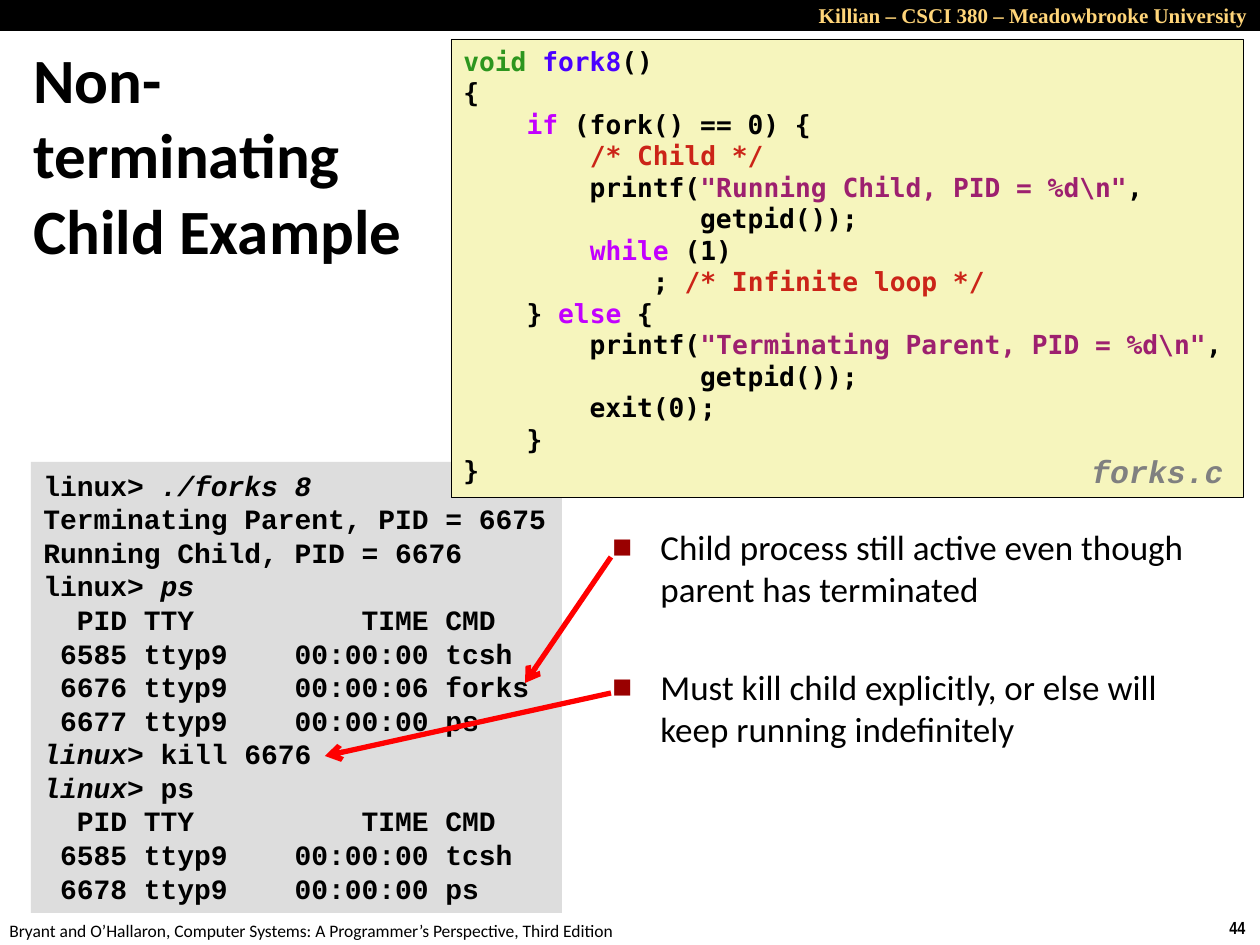
from lxml.etree import SubElement
from pptx import Presentation
from pptx.dml.color import RGBColor
from pptx.enum.shapes import MSO_CONNECTOR, MSO_SHAPE
from pptx.enum.text import MSO_ANCHOR, MSO_AUTO_SIZE, PP_ALIGN
from pptx.oxml.ns import qn
from pptx.util import Pt

PX = 914400 / 126
BLACK = "000000"
KEY, NOTE, TEXT = "C200FF", "CB2418", "9D206F"

CODE = [
    [("void ", "2D961E"), ("fork8", "4A00FF"), "()"],
    ["{"],
    ["    ", ("if", KEY), " (fork() == 0) {"],
    ["        ", ("/* Child */", NOTE)],
    ["        printf(", ("\"Running Child, PID = %d\\n\"", TEXT), ","],
    ["               getpid());"],
    ["        ", ("while", KEY), " (1)"],
    ["            ; ", ("/* Infinite loop */", NOTE)],
    ["    } ", ("else", KEY), " {"],
    ["        printf(", ("\"Terminating Parent, PID = %d\\n\"", TEXT), ","],
    ["               getpid());"],
    ["        exit(0);"],
    ["    }"],
    ["}"],
]
HEAD = ["  PID TTY          TIME CMD"]
SHELL = [" 6585 ttyp9    00:00:00 tcsh"]
TERM = [
    ["linux> ", ("./forks 8", "i")],
    ["Terminating Parent, PID = 6675"],
    ["Running Child, PID = 6676"],
    ["linux> ", ("ps", "i")],
    HEAD,
    SHELL,
    [" 6676 ttyp9    00:00:06 forks"],
    [" 6677 ttyp9    00:00:00 ps"],
    [("linux>", "i"), " kill 6676"],
    [("linux> ", "i"), "ps"],
    HEAD,
    SHELL,
    [" 6678 ttyp9    00:00:00 ps"],
]
POINTS = [
    ["Child process still active even though parent has terminated"],
    ["Must kill child explicitly, or else will keep running indefinitely"],
]
TITLE = [["Non-\vterminating\vChild Example"]]
TOP = [["Killian – CSCI 380 – Meadowbrooke University"]]
FOOT = [["Bryant and O’Hallaron, Computer Systems: A Programmer’s Perspective, Third Edition"]]
ARROWS = [((611, 557), (525, 683)), ((611, 693), (325, 756))]


def px(*nums):
    return [round(n * PX) for n in nums]


def rgb(code):
    return RGBColor.from_string(code)


def write(shape, lines, face, size, color=BLACK, bold=True, wrap=False):
    frame = shape.text_frame
    frame.word_wrap = wrap
    frame.vertical_anchor = MSO_ANCHOR.TOP
    if not wrap:
        frame.auto_size = MSO_AUTO_SIZE.SHAPE_TO_FIT_TEXT
    for n, line in enumerate(lines):
        para = frame.add_paragraph() if n else frame.paragraphs[0]
        para.alignment = PP_ALIGN.LEFT
        font = para.font
        font.name, font.size, font.bold = face, Pt(size), bold
        font.color.rgb = rgb(color)
        for part in line:
            words, mark = (part, None) if isinstance(part, str) else part
            if "\v" in words:
                para.text = words
                continue
            run = para.add_run()
            run.text = words
            if mark == "i":
                run.font.italic = True
            elif mark:
                run.font.color.rgb = rgb(mark)
    return frame


def block(area, fill, line=None):
    shape = slide.shapes.add_shape(MSO_SHAPE.RECTANGLE, *px(*area))
    shape.shadow.inherit = False
    shape.fill.solid()
    shape.fill.fore_color.rgb = rgb(fill)
    if line:
        shape.line.color.rgb = rgb(line)
        shape.line.width = Pt(0.25)
    else:
        shape.line.fill.background()
    return shape


def label(area, *args, **opts):
    return write(slide.shapes.add_textbox(*px(*area)), *args, **opts)


def bullet(para):
    props = para._p.get_or_add_pPr()
    mar = px(48)[0]
    props.set("marL", str(mar))
    props.set("indent", str(-mar))
    last = props.find(qn("a:defRPr"))
    tint = SubElement(props, qn("a:buClr"))
    SubElement(tint, qn("a:srgbClr"), val="990000")
    SubElement(props, qn("a:buSzPct"), val="60000")
    SubElement(props, qn("a:buFont"), typeface="Calibri")
    SubElement(props, qn("a:buChar"), char="■")
    props.append(last)


def arrow(start, end):
    line = slide.shapes.add_connector(MSO_CONNECTOR.STRAIGHT, *px(*start, *end))
    line.line.color.rgb = rgb("FF0000")
    line.line.width = Pt(3)
    SubElement(line.line._get_or_add_ln(), qn("a:tailEnd"), type="arrow")
    SubElement(line._element.spPr, qn("a:effectLst"))


deck = Presentation()
deck.slide_width, deck.slide_height = px(1260, 945)
slide = deck.slides.add_slide(deck.slide_layouts[6])

block((0, 0, 1260, 31), BLACK)
top = label((735, -4, 525, 38), TOP, "Times New Roman", 12, "FFD579", wrap=True)
top.paragraphs[0].alignment = PP_ALIGN.RIGHT
label((1217, 911, 43, 34), [["44"]], "Arial Narrow", 10)
label((-3, 914, 640, 34), FOOT, "Calibri", 10, bold=False)

write(block((31, 462, 531, 451), "DDDDDD"), TERM, "Courier New", 16)
title = label((21, 42, 504, 223), TITLE, "Calibri", 36, wrap=True)
title.vertical_anchor = MSO_ANCHOR.MIDDLE
body = label((600, 519, 597, 374), POINTS, "Calibri", 20, bold=False, wrap=True)
for para in body.paragraphs:
    bullet(para)
body.paragraphs[1].space_before = Pt(32)

write(block((451, 39, 792, 458), "F6F5BD", BLACK), CODE, "DejaVu Sans Mono", 15)
name = label((1079, 449, 166, 49), [["forks.c"]], "Courier New", 18, "808080")
name.paragraphs[0].font.italic = True
name.paragraphs[0].line_spacing = 0.94

for start, end in ARROWS:
    arrow(start, end)

deck.save("out.pptx")
